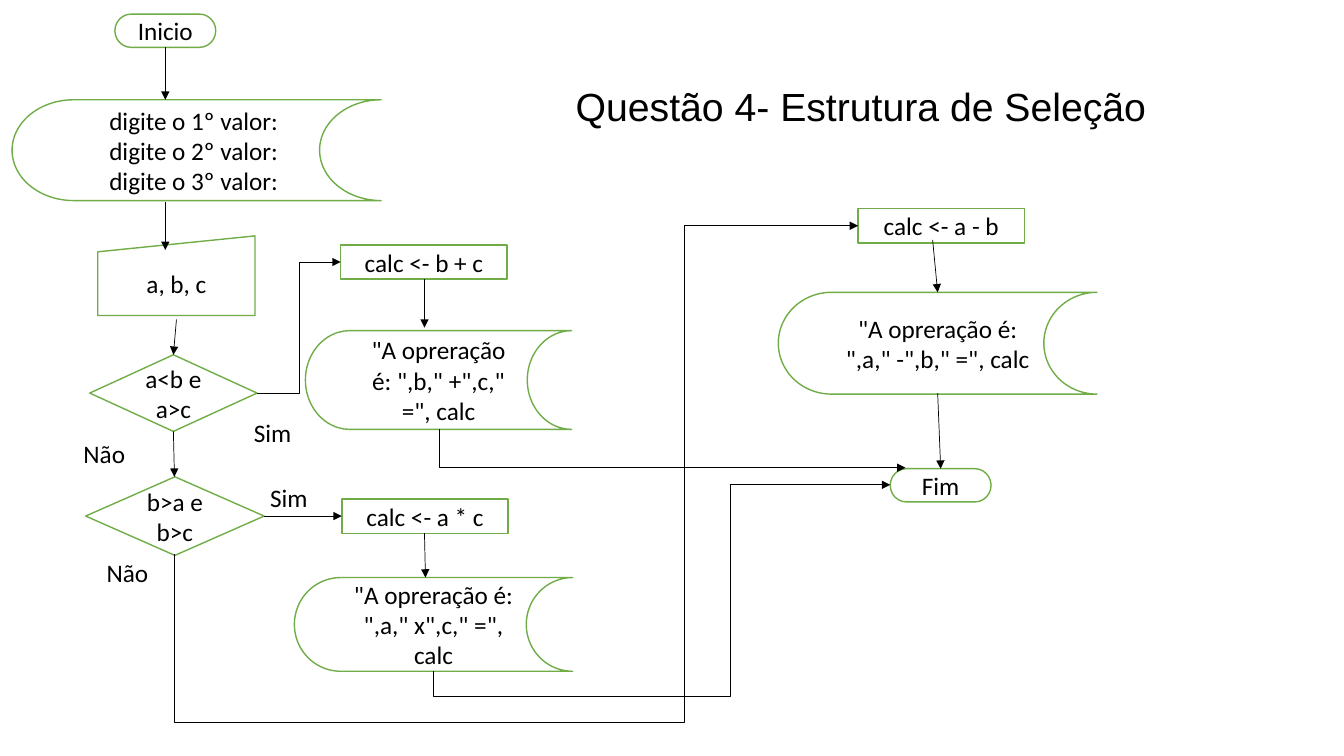
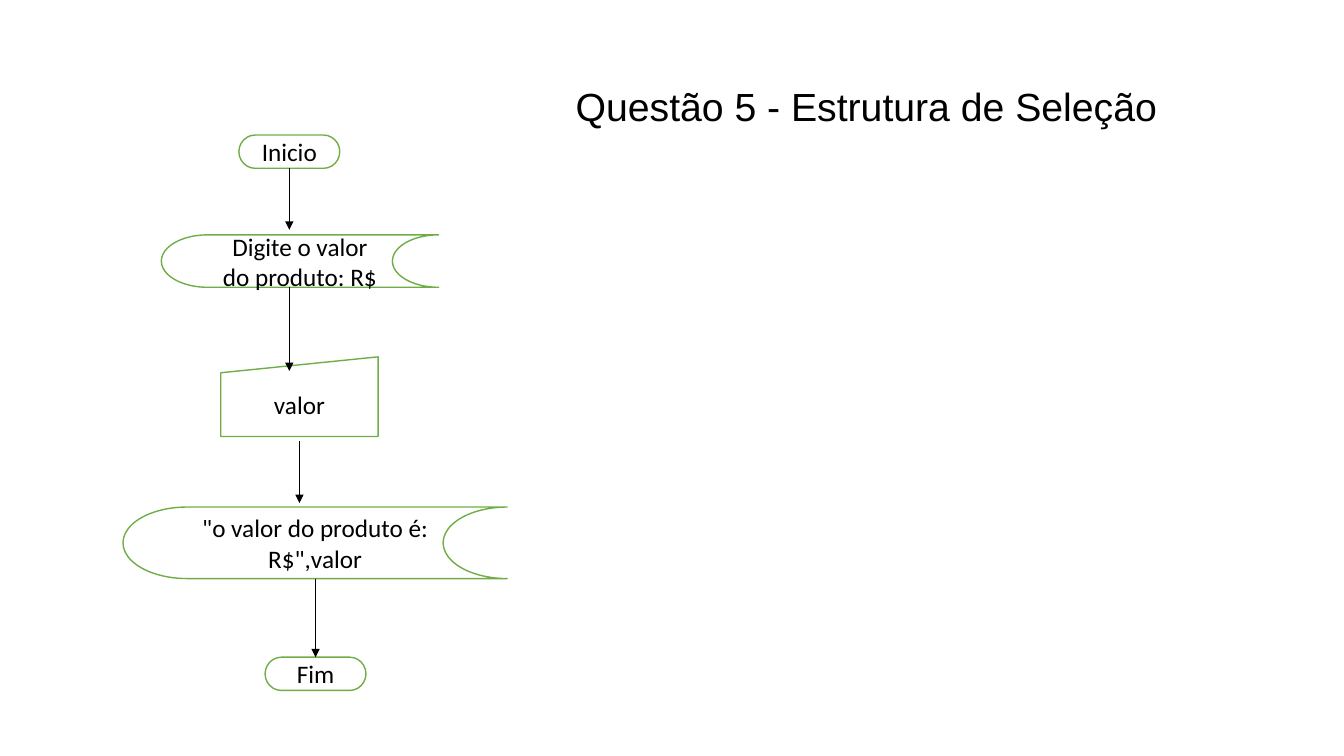
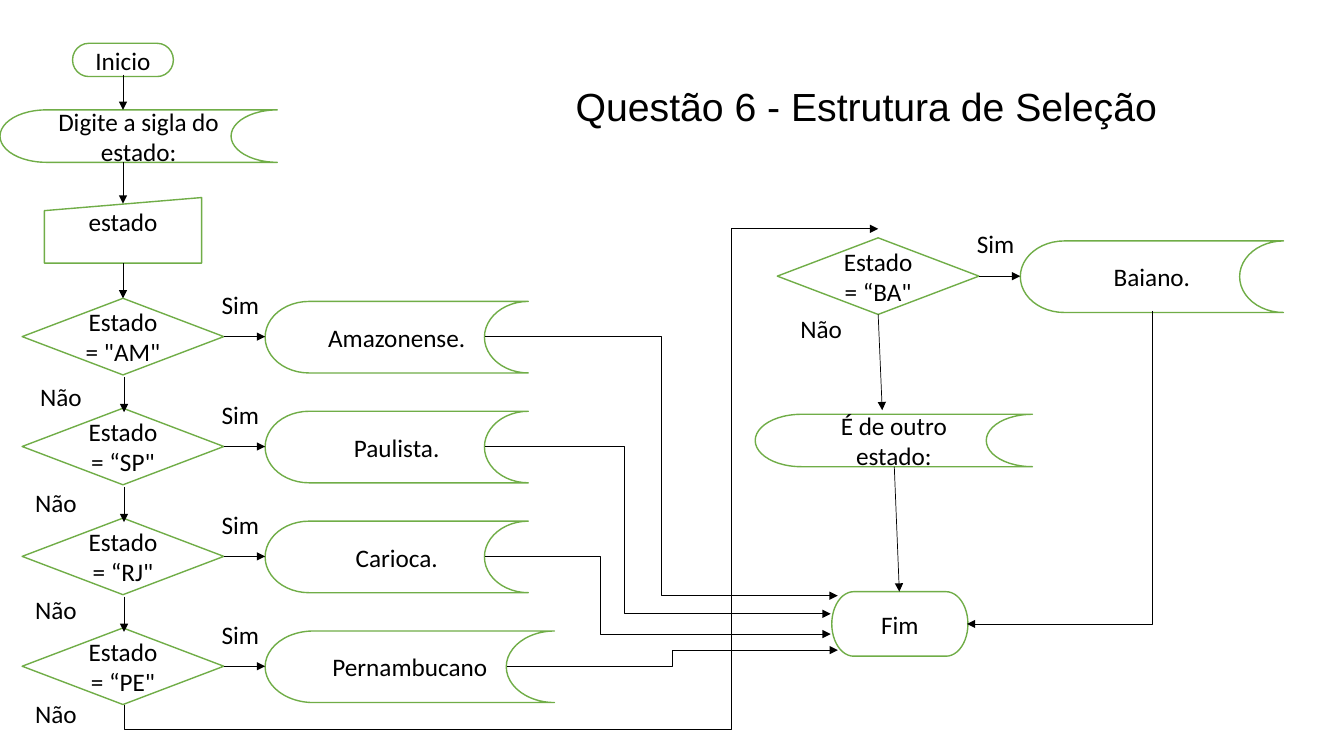
from dataclasses import dataclass, field
from typing import Any, NamedTuple, Optional

from lxml.etree import SubElement
from pptx import Presentation
from pptx.dml.color import RGBColor
from pptx.enum.shapes import MSO_CONNECTOR, MSO_SHAPE
from pptx.enum.text import MSO_ANCHOR, MSO_AUTO_SIZE, PP_ALIGN
from pptx.oxml.ns import qn
from pptx.slide import Slide
from pptx.text.text import TextFrame
from pptx.util import Inches, Pt

BLACK, WHITE, GREEN = "000000", "FFFFFF", "70AD47"
TITLE_FONT = {"name": "Arial", "size": Pt(28), "bold": False}
FLOW_FONT = {"name": "Calibri", "size": Pt(18)}
TOP_FRAME = {"word_wrap": True, "auto_size": MSO_AUTO_SIZE.NONE,
             "vertical_anchor": MSO_ANCHOR.TOP}
STEP_FRAME = {"word_wrap": True, "vertical_anchor": MSO_ANCHOR.MIDDLE}
TITLE_PLACE = {"left": Inches(5.61), "top": Inches(0.77),
               "width": Inches(6.15), "height": Inches(0.57)}
LABEL_WIDTH, LABEL_HEIGHT = 0.7, 0.4

TERMINAL = MSO_SHAPE.FLOWCHART_TERMINATOR
OUTPUT = MSO_SHAPE.FLOWCHART_STORED_DATA
INPUT = MSO_SHAPE.FLOWCHART_MANUAL_INPUT
DECISION = MSO_SHAPE.FLOWCHART_DECISION
PROCESS = MSO_SHAPE.FLOWCHART_PROCESS

Point = tuple[float, float]


class Step(NamedTuple):
    kind: Any
    text: str
    left: float
    top: float
    width: float
    height: float
    bottom_margin: float = 0.05


class Arrow(NamedTuple):
    start: Point
    end: Point
    bends: Optional[tuple[float, ...]] = None
    leaves_vertically: bool = False


class Label(NamedTuple):
    text: str
    left: float
    top: float


@dataclass
class Flowchart:
    title: str
    steps: list[Step] = field(default_factory=list)
    arrows: list[Arrow] = field(default_factory=list)
    labels: list[Label] = field(default_factory=list)


def colour(code: str) -> RGBColor:
    return RGBColor.from_string(code)


def apply(target: Any, values: dict[str, Any]) -> None:
    for name, value in values.items():
        setattr(target, name, value)


def write(frame: TextFrame, text: str, frame_format: dict[str, Any],
          font_format: dict[str, Any], align: PP_ALIGN) -> None:
    apply(frame, frame_format)
    frame.text = text
    for paragraph in frame.paragraphs:
        paragraph.alignment = align
        for run in paragraph.runs:
            apply(run.font, font_format)
            run.font.color.rgb = colour(BLACK)


def draw_title(slide: Slide, text: str) -> None:
    title = slide.shapes.title
    apply(title, TITLE_PLACE)
    write(title.text_frame, text, TOP_FRAME, TITLE_FONT, PP_ALIGN.LEFT)


def draw_step(slide: Slide, step: Step) -> None:
    place = map(Inches, (step.left, step.top, step.width, step.height))
    box = slide.shapes.add_shape(step.kind, *place)
    box.shadow.inherit = False
    box.fill.solid()
    box.fill.fore_color.rgb = colour(WHITE)
    box.line.color.rgb = colour(GREEN)
    box.line.width = Pt(1)
    box.text_frame.margin_bottom = Inches(step.bottom_margin)
    write(box.text_frame, step.text, STEP_FRAME, FLOW_FONT, PP_ALIGN.CENTER)


def draw_label(slide: Slide, label: Label) -> None:
    place = map(Inches, (label.left, label.top, LABEL_WIDTH, LABEL_HEIGHT))
    note = slide.shapes.add_textbox(*place)
    write(note.text_frame, label.text, TOP_FRAME, FLOW_FONT, PP_ALIGN.LEFT)


def draw_arrow(slide: Slide, arrow: Arrow) -> None:
    (x1, y1), (x2, y2) = arrow.start, arrow.end
    dx, dy = x2 - x1, y2 - y1
    begin, finish, turn = arrow.start, arrow.end, 0
    if arrow.leaves_vertically:
        middle_x, middle_y = (x1 + x2) / 2, (y1 + y2) / 2
        begin = (middle_x - dy / 2, middle_y + dx / 2)
        finish = (middle_x + dy / 2, middle_y - dx / 2)
        turn = 90
        if dx * dy > 0:
            begin, finish, turn = finish, begin, 270
    kind = MSO_CONNECTOR.STRAIGHT if arrow.bends is None else MSO_CONNECTOR.ELBOW
    connector = slide.shapes.add_connector(kind, *map(Inches, begin + finish))
    connector.line.color.rgb = colour(BLACK)
    connector.line.width = Pt(0.5)
    properties = connector._element.spPr
    SubElement(properties.find(qn("a:ln")), qn("a:tailEnd"), type="triangle")
    SubElement(properties, qn("a:effectLst"))
    if turn:
        properties.find(qn("a:xfrm")).set("rot", str(turn * 60000))
    if arrow.bends is not None:
        geometry = properties.find(qn("a:prstGeom"))
        geometry.set("prst", f"bentConnector{len(arrow.bends) + 2}")
        guides = geometry.find(qn("a:avLst"))
        for index, bend in enumerate(arrow.bends):
            axis = (index + arrow.leaves_vertically) % 2
            share = (bend - arrow.start[axis]) / (arrow.end[axis] - arrow.start[axis])
            SubElement(guides, qn("a:gd"), name=f"adj{index + 1}",
                       fmla=f"val {round(share * 100000)}")


def comparison_flow() -> Flowchart:
    return Flowchart(
        "Questão 4- Estrutura de Seleção",
        [
            Step(TERMINAL, "Inicio", 1.14, 0.14, 1, 0.33),
            Step(OUTPUT, "digite o 1º valor: \ndigite o 2º valor: \ndigite o 3º valor: ",
                 0.12, 0.99, 3.66, 1),
            Step(INPUT, "a, b, c", 0.97, 2.34, 1.56, 0.79),
            Step(DECISION, "a<b e a>c", 0.89, 3.52, 1.66, 0.76),
            Step(DECISION, "b>a e b>c", 0.85, 4.73, 1.77, 0.78),
            Step(PROCESS, "calc <- b + c", 3.38, 2.43, 1.65, 0.34),
            Step(PROCESS, "calc <- a * c", 3.39, 4.95, 1.65, 0.34),
            Step(PROCESS, "calc <- a - b", 8.51, 2.07, 1.65, 0.34),
            Step(OUTPUT, '"A opreração é: ",b," +",c," =", calc', 3.03, 3.28, 2.64, 0.98),
            Step(OUTPUT, '"A opreração é: ",a," x",c," =", calc', 2.92, 5.73, 2.76, 0.93),
            Step(OUTPUT, '"A opreração é: ",a," -",b," =", calc', 7.72, 2.9, 3.16, 1.01),
            Step(TERMINAL, "Fim", 8.83, 4.65, 1, 0.33),
        ],
        [
            Arrow((1.64, 0.47), (1.64, 0.99)),
            Arrow((1.64, 2), (1.64, 2.48)),
            Arrow((1.75, 3.17), (1.72, 3.52)),
            Arrow((1.72, 4.28), (1.73, 4.73)),
            Arrow((2.62, 5.12), (3.39, 5.12)),
            Arrow((4.21, 2.77), (4.21, 3.25)),
            Arrow((4.21, 5.29), (4.22, 5.73)),
            Arrow((9.25, 2.38), (9.3, 2.9)),
            Arrow((9.3, 3.9), (9.33, 4.65)),
            Arrow((2.55, 3.9), (3.38, 2.6), (2.97,)),
            Arrow((1.73, 5.5), (8.51, 2.24), (7.17, 6.79), True),
            Arrow((4.36, 4.26), (8.98, 4.64), (), True),
            Arrow((4.3, 6.66), (8.83, 4.81), (6.91, 7.25), True),
        ],
        [
            Label("Não", 0.73, 4.3),
            Label("Não", 0.96, 5.48),
            Label("Sim", 2.42, 4.09),
            Label("Sim", 2.58, 4.74),
        ],
    )


def product_flow() -> Flowchart:
    return Flowchart(
        "Questão 5 - Estrutura de Seleção",
        [
            Step(TERMINAL, "Inicio", 2.37, 1.34, 1, 0.33),
            Step(OUTPUT, "Digite o valor do produto: R$", 1.6, 2.33, 2.75, 0.52),
            Step(INPUT, "valor", 2.19, 3.54, 1.56, 0.79),
            Step(OUTPUT, '"o valor do produto é: R$",valor', 1.22, 5.03, 3.81, 0.71),
            Step(TERMINAL, "Fim", 2.63, 6.52, 1, 0.33),
        ],
        [
            Arrow((2.87, 1.67), (2.87, 2.28)),
            Arrow((2.87, 2.85), (2.87, 3.68)),
            Arrow((2.97, 4.38), (2.97, 4.99)),
            Arrow((3.13, 5.74), (3.13, 6.52)),
        ],
    )


class State(NamedTuple):
    test: str
    answer: str
    width: float
    exit_start: float
    exit_bend: float
    exit_end: Point
    no_label: Point


STATES = [
    State('"AM"', "Amazonense.", 2.61, 4.81, 6.56, (8.31, 5.91), (0.3, 3.73)),
    State('“SP"', "Paulista.", 2.61, 4.81, 6.19, (8.24, 6.09), (0.25, 4.79)),
    State('“RJ"', "Carioca.", 2.61, 4.81, 5.96, (8.24, 6.29), (0.25, 5.85)),
    State('“PE"', "Pernambucano", 2.87, 5.03, 6.67, (8.31, 6.45), (0.25, 6.88)),
]
STATE_TOP, STATE_PITCH = 2.96, 1.09


def add_test(flow: Flowchart, test: str, answer: str,
             left: float, top: float, answer_width: float) -> None:
    middle = top + 0.38
    flow.steps += [
        Step(DECISION, f"Estado = {test}", left, top, 2, 0.76),
        Step(OUTPUT, answer, left + 2.41, top + 0.03, answer_width, 0.71),
    ]
    flow.arrows.append(Arrow((left + 2, middle), (left + 2.41, middle)))
    flow.labels.append(Label("Sim", left + 1.88, top - 0.14))


def state_flow() -> Flowchart:
    flow = Flowchart(
        "Questão 6 - Estrutura de Seleção",
        [
            Step(TERMINAL, "Inicio", 0.72, 0.43, 1, 0.33),
            Step(OUTPUT, "Digite a sigla do estado:", 0, 1.09, 2.75, 0.52),
            Step(INPUT, "estado", 0.44, 1.96, 1.56, 0.65, 0.35),
            Step(OUTPUT, "É de outro estado:", 7.49, 4.11, 2.75, 0.52),
            Step(TERMINAL, "Fim", 8.25, 5.87, 1.35, 0.64),
        ],
        [
            Arrow((1.22, 0.74), (1.22, 1.09)),
            Arrow((1.22, 1.61), (1.22, 2.02)),
            Arrow((1.22, 2.61), (1.22, 2.96)),
            Arrow((8.71, 3.12), (8.75, 4.07)),
            Arrow((8.87, 4.63), (8.92, 5.87)),
            Arrow((1.23, 6.99), (8.71, 2.27), (7.24, 7.25), True),
            Arrow((11.43, 3.09), (9.59, 6.19), (), True),
        ],
        [Label("Não", 7.84, 3.06)],
    )
    for row, state in enumerate(STATES):
        top = STATE_TOP + row * STATE_PITCH
        add_test(flow, state.test, state.answer, 0.22, top, state.width)
        flow.arrows.append(
            Arrow((state.exit_start, top + 0.38), state.exit_end, (state.exit_bend,)))
        flow.labels.append(Label("Não", *state.no_label))
        if row < len(STATES) - 1:
            flow.arrows.append(Arrow((1.23, top + 0.78), (1.23, top + 1.13)))
    add_test(flow, '“BA"', "Baiano.", 7.71, 2.36, 2.61)
    return flow


def main() -> None:
    deck = Presentation()
    apply(deck, {"slide_width": Inches(13.33), "slide_height": Inches(7.5)})
    title_only = deck.slide_layouts[5]
    for flow in (comparison_flow(), product_flow(), state_flow()):
        slide = deck.slides.add_slide(title_only)
        draw_title(slide, flow.title)
        for step in flow.steps:
            draw_step(slide, step)
        for arrow in flow.arrows:
            draw_arrow(slide, arrow)
        for label in flow.labels:
            draw_label(slide, label)
    deck.save("out.pptx")


if __name__ == "__main__":
    main()
